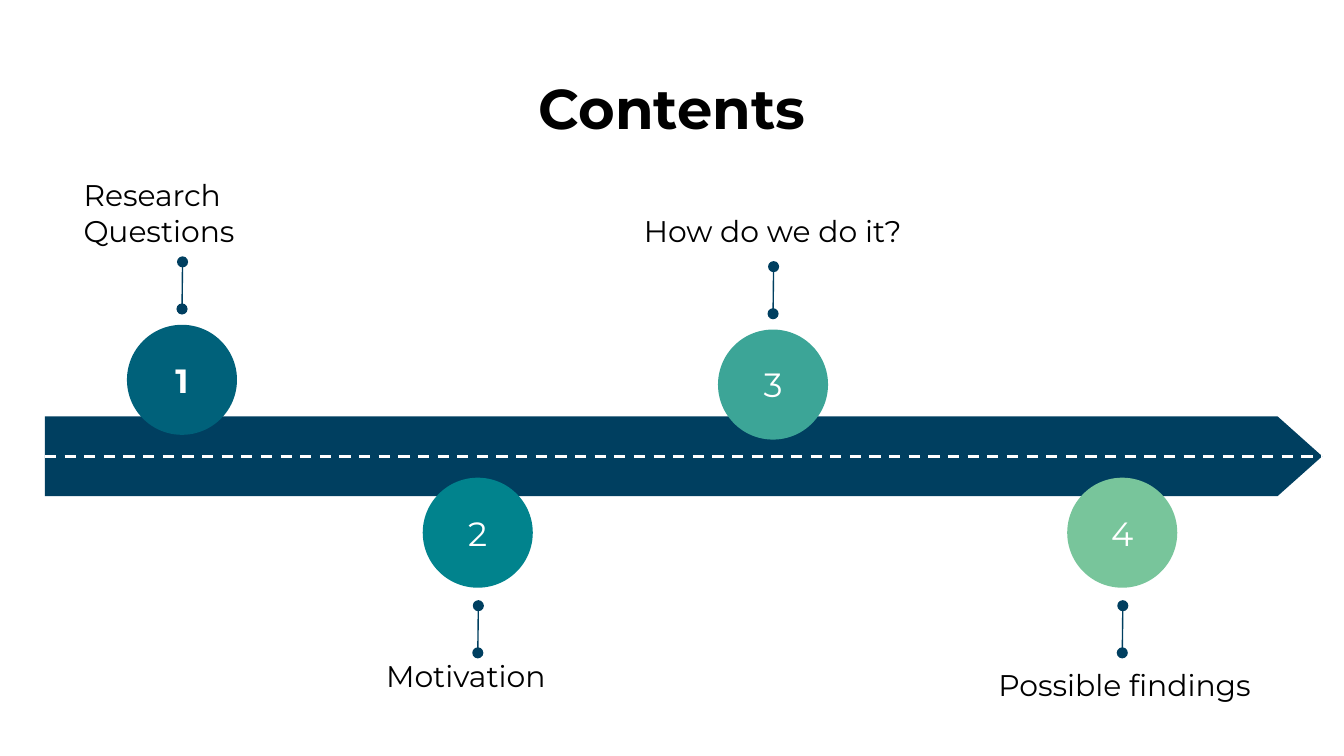
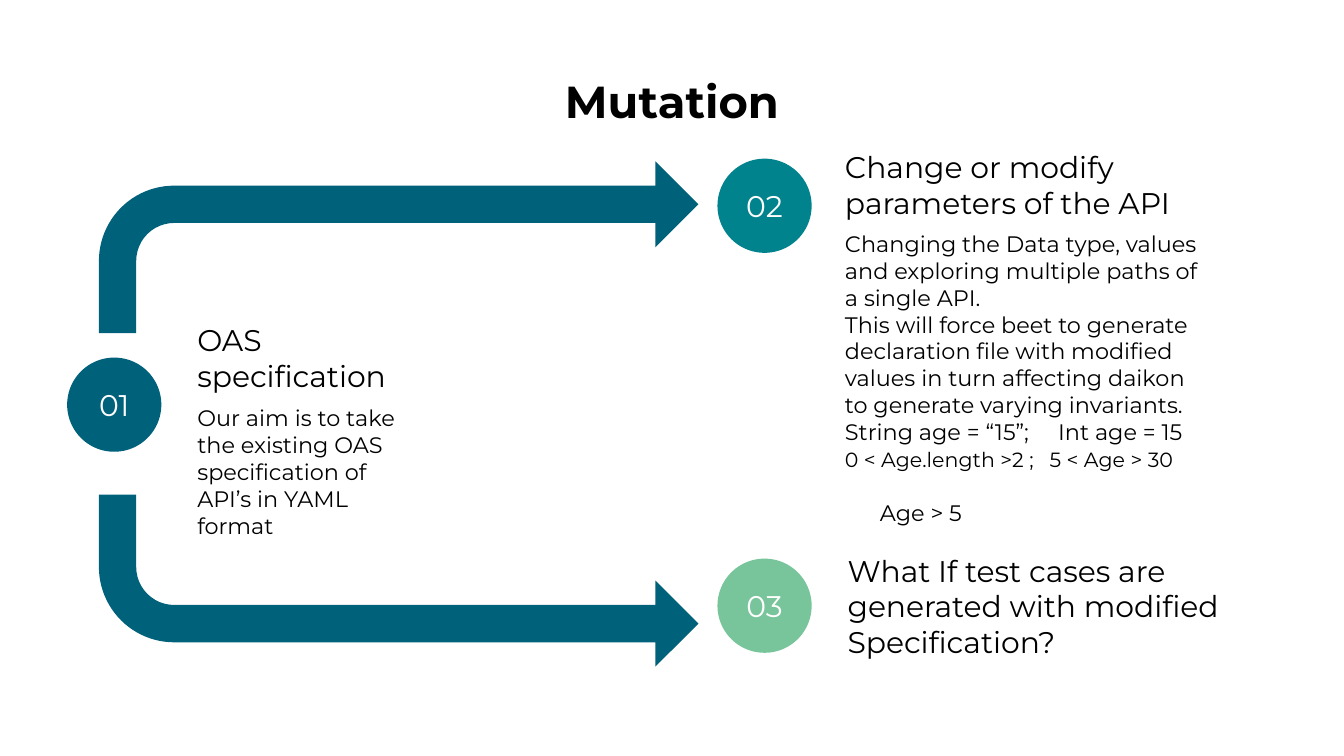
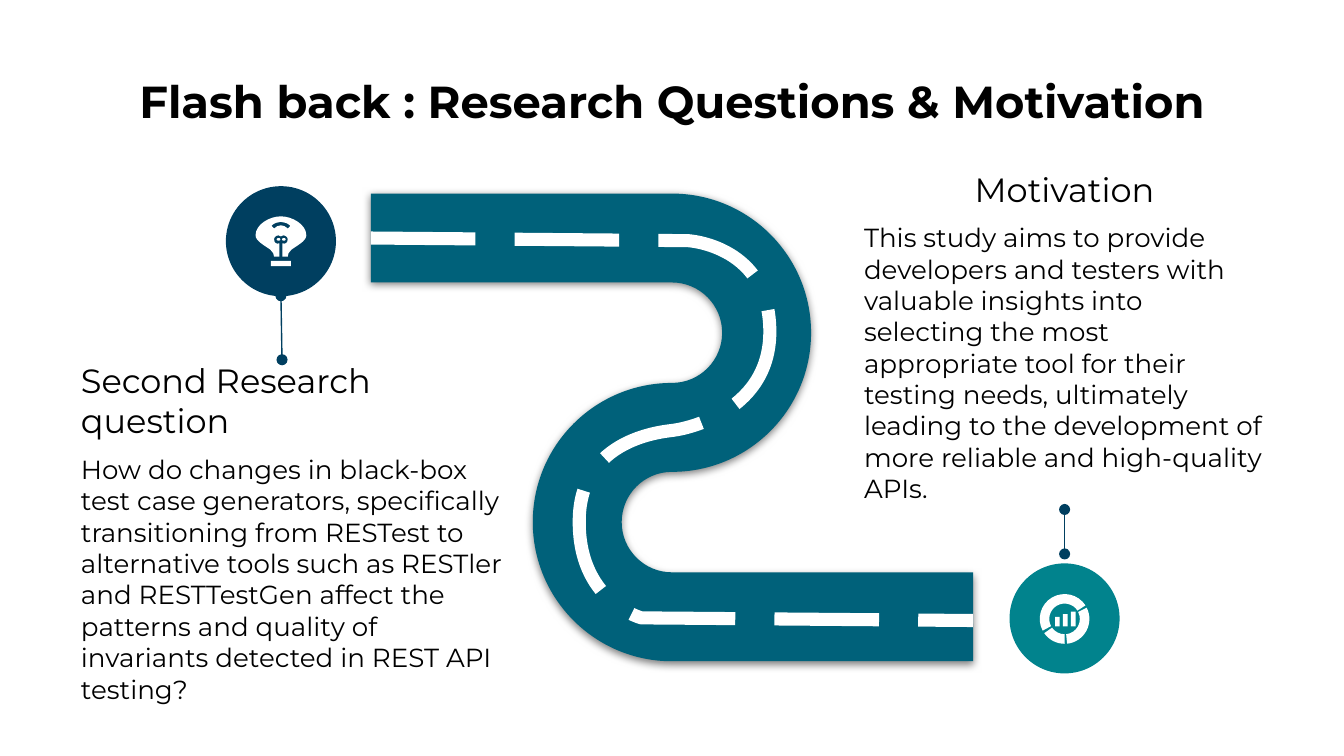
from math import ceil, cos, radians, sin, tan

from lxml.etree import SubElement
from pptx import Presentation
from pptx.dml.color import RGBColor
from pptx.enum.dml import MSO_LINE as Dash
from pptx.enum.shapes import MSO_CONNECTOR as Link, MSO_SHAPE as Kind
from pptx.enum.text import MSO_ANCHOR as Anchor, PP_ALIGN as Align
from pptx.oxml.ns import qn
from pptx.util import Cm, Pt

FONT = "Montserrat"
BLACK, WHITE = "000000", "FFFFFF"
NAVY, BLUE, TEAL = "003F60", "00617A", "01838D"
SEA, GREEN = "3CA597", "78C59B"


def paint(code):
    return RGBColor.from_string(code)


def write(frame, text, size=16, bold=False, color=BLACK, align=Align.LEFT,
          indent=0, before=0, tab=0):
    para = frame.paragraphs[0]
    if para.runs:
        para = frame.add_paragraph()
    para.alignment = align
    para.space_before = Pt(before)
    props = para._p.get_or_add_pPr()
    if indent:
        props.set("marL", str(Cm(indent)))
    if tab:
        stops = SubElement(props, qn("a:tabLst"))
        SubElement(stops, qn("a:tab"), pos=str(Cm(tab)), algn="l")
    run = para.add_run()
    run.text = text
    font = run.font
    font.name, font.size, font.bold = FONT, Pt(size), bold
    font.color.rgb = paint(color)


def lines(*points):
    return [(point,) for point in points]


def arc(x, y, r, start, end):
    count = ceil(abs(end - start) / 90)
    step = radians((end - start) / count)
    pull = 4 / 3 * tan(step / 4)

    def spot(turn, lean):
        return (x + r * (cos(turn) - lean * sin(turn)),
                y + r * (sin(turn) + lean * cos(turn)))

    turns = [radians(start) + step * i for i in range(count + 1)]
    return lines(spot(turns[0], 0)) + [
        (spot(a, pull), spot(b, -pull), spot(b, 0)) for a, b in zip(turns, turns[1:])]


def mirror(ring, mid):
    back = []
    for last, part in zip(ring[-2::-1], ring[:0:-1]):
        points = part[-2::-1] + last[-1:]
        back.append(tuple((2 * mid - x, y) for x, y in points))
    return back


class Deck:
    def __init__(self):
        self.show = Presentation()
        self.show.slide_width, self.show.slide_height = Cm(25.4), Cm(14.29)

    def page(self, title, size=24):
        self.shapes = self.show.slides.add_slide(self.show.slide_layouts[6]).shapes
        self.text(1.25, 1.14, 22.9, 1.55, title, size=size, bold=True,
                  align=Align.CENTER)

    def frame(self, shape, anchor):
        frame = shape.text_frame
        frame.word_wrap = True
        frame.vertical_anchor = anchor
        frame.margin_top = frame.margin_bottom = Cm(0.25)
        return frame

    def text(self, x, y, w, h, text, anchor=Anchor.TOP, **style):
        box = self.shapes.add_textbox(Cm(x), Cm(y), Cm(w), Cm(h))
        frame = self.frame(box, anchor)
        write(frame, text, **style)
        return frame

    def label(self, x, y, w, h, text, **style):
        return self.text(x, y, w, h, text, anchor=Anchor.BOTTOM, **style)

    def shape(self, kind, x, y, w, h, color, adjust=()):
        item = self.shapes.add_shape(kind, Cm(x), Cm(y), Cm(w), Cm(h))
        for i, value in enumerate(adjust):
            item.adjustments[i] = value
        return self.fill(item, color)

    def fill(self, item, color):
        item.shadow.inherit = False
        item.fill.solid()
        item.fill.fore_color.rgb = paint(color)
        item.line.fill.background()
        return item

    def disc(self, x, y, d, color, text="", **style):
        item = self.shape(Kind.OVAL, x, y, d, d, color)
        if text:
            write(self.frame(item, Anchor.MIDDLE), text, color=WHITE,
                  align=Align.CENTER, **style)

    def line(self, x1, y1, x2, y2, color, width):
        item = self.shapes.add_connector(Link.STRAIGHT, Cm(x1), Cm(y1), Cm(x2), Cm(y2))
        item.line.color.rgb = paint(color)
        item.line.width = Pt(width)
        SubElement(item.element.spPr, qn("a:effectLst"))
        return item

    def pin(self, x1, y1, x2, y2):
        item = self.line(x1, y1, x2, y2, NAVY, 0.75)
        ln = item.element.spPr.find(qn("a:ln"))
        for end in ("a:headEnd", "a:tailEnd"):
            SubElement(ln, qn(end), type="oval")

    def trace(self, *rings, close=True):
        pen = None
        for ring in rings:
            ends = [(Cm(part[-1][0]), Cm(part[-1][1])) for part in ring]
            if pen:
                pen.move_to(*ends[0])
            else:
                pen = self.shapes.build_freeform(*ends[0])
            pen.add_line_segments(ends[1:], close=close)
        item = pen.convert_to_shape()
        parts = [part for ring in rings for part in ring[1:]]
        for node, part in zip(list(item.element.iter(qn("a:lnTo"))), parts):
            if len(part) == 3:
                node.tag = qn("a:cubicBezTo")
                node.remove(node[0])
                for x, y in part:
                    SubElement(node, qn("a:pt"), x=str(Cm(x) - item.left),
                               y=str(Cm(y) - item.top))
        return item

    def form(self, color, *rings):
        return self.fill(self.trace(*rings), color)

    def stroke(self, ring, color, width, dash):
        item = self.trace(ring, close=False)
        item.shadow.inherit = False
        item.fill.background()
        item.line.color.rgb = paint(color)
        item.line.width = Pt(width)
        item.line.dash_style = dash

    def shade(self, item):
        effects = item.element.spPr.find(qn("a:effectLst"))
        outer = SubElement(effects, qn("a:outerShdw"), blurRad=str(Pt(4.5)),
                           dist=str(Pt(1.5)), dir="5400000", algn="bl", rotWithShape="0")
        tone = SubElement(outer, qn("a:srgbClr"), val=BLACK)
        SubElement(tone, qn("a:alpha"), val="50000")


def contents(deck):
    deck.page("Contents", size=30)
    deck.shape(Kind.RIGHT_ARROW, 0.85, 7.87, 24.14, 1.51, NAVY, (1, 0.56))
    deck.line(0.85, 8.63, 24.99, 8.63, WHITE, 1.5).line.dash_style = Dash.DASH
    for x, y, w, name, indent in (
            (6.44, 12.36, 5.18, "Motivation", 0.61),
            (18.62, 12.53, 5.97, "Possible findings", 0),
            (1.33, 3.95, 4.24, "Research Questions", 0),
            (11.6, 3.95, 5.97, "How do we do it?", 0.32)):
        deck.label(x, y, w, 0.99, name, indent=indent)
    for number, x, y, top, color in (
            ("1", 2.4, 6.14, 4.95, BLUE), ("2", 7.99, 9.03, 11.45, TEAL),
            ("3", 13.57, 6.23, 5.04, SEA), ("4", 20.17, 9.03, 11.45, GREEN)):
        deck.disc(x, y, 2.08, color, number, size=18, bold=number == "1")
        deck.pin(x + 1.05, top, x + 1.04, top + 0.89)


def mutation(deck):
    deck.page("Mutation")
    for y in (3.05, 9.35):
        bend = deck.shape(Kind.BENT_ARROW, 1.87, y, 11.33, 3.25, BLUE,
                          (0.217, 0.25, 0.25, 0.438))
    bend.rotation = 180
    bend.element.spPr.find(qn("a:xfrm")).set("flipH", "1")

    for number, x, y, color in (("01", 1.27, 6.76, BLUE), ("02", 13.56, 3, TEAL),
                                ("03", 13.56, 10.56, GREEN)):
        deck.disc(x, y, 1.78, color, number)
    for x, y, w, head in (
            (3.48, 6.61, 4.67, "OAS specification"),
            (15.72, 3.35, 7.29, "Change or modify parameters of the API"),
            (15.77, 11.65, 9.12,
             "What If test cases are generated with modified Specification?")):
        deck.label(x, y, w, 1.07, head)
    deck.text(3.48, 7.39, 4.67, 1.96, "Our aim is to take the existing OAS "
              "specification of API’s in YAML format", size=12)
    body = deck.text(15.72, 4.1, 7.29, 1.96, "Changing the Data type, values and "
                     "exploring multiple paths of a single API.", size=12)
    write(body, "This will force beet to generate declaration file with modified values "
          "in turn affecting daikon to generate varying invariants.", size=12)
    write(body, "String age = “15”;\tInt age = 15", size=12, tab=4.03)
    write(body, "0 < Age.length >2 ;\t5 < Age > 30", size=11, tab=3.87, before=1)
    write(body, "Age > 5", size=12, indent=0.66, before=14.7)


def road(deck):
    x, high, low, wide, slim = 12.7, 6.29, 9.87, 2.63, 0.95
    left, right = 7.01, 18.39
    edge = lines((left, high - slim), (left, high - wide))
    edge += arc(x, high, wide, -90, 90) + arc(x, low, slim, 270, 90)[1:]
    edge += lines((right, low + slim), (right, low + wide))
    edge += arc(x, low, wide, 90, 270) + arc(x, high, slim, 90, -90)[1:]
    deck.shade(deck.form(BLUE, edge))
    lane = lines((left, 4.5), (13, 4.55)) + [
        ((13.03, 4.55), (14.55, 4.65), (14.55, 6.27)),
        ((14.55, 7.87), (12.78, 8.13), (12.75, 8.13)),
        ((12.75, 8.15), (11, 8.18), (10.95, 9.78)),
        ((10.9, 11.38), (12.14, 11.68), (12.12, 11.68))]
    deck.stroke(lane + lines((right, 11.73)), WHITE, 7, Dash.LONG_DASH)


def bulb(deck):
    mid = 5.31
    half = lines((mid, 4.09)) + [((5.1, 4.09), (4.83, 4.24), (4.83, 4.45)),
                                 ((4.83, 4.56), (5.02, 4.65), (5.11, 4.72)),
                                 ((5.16, 4.76), (5.18, 4.81), (5.18, 4.85))]
    half += lines((5.28, 4.85), (5.28, 4.6))
    half += [((5.23, 4.62), (5.18, 4.6), (5.18, 4.52)),
             ((5.18, 4.47), (5.26, 4.42), (mid, 4.47))]
    glint = lines((5.44, 4.32)) + [((5.36, 4.24), (5.26, 4.24), (5.18, 4.32))]
    glint += lines((5.13, 4.27)) + [((5.23, 4.17), (5.38, 4.17), (5.49, 4.27))]
    deck.form(WHITE, half + mirror(half, mid), glint)
    deck.shape(Kind.RECTANGLE, 5.12, 4.93, 0.38, 0.1, WHITE)
    for x in (5.23, 5.33):
        deck.shape(Kind.OVAL, x, 4.5, 0.07, 0.05, WHITE)


def chart(deck):
    x, y = 20.12, 11.7
    for start, end in ((90, 145), (152, 327), (333, 444)):
        deck.form(WHITE, arc(x, y, 0.47, start, end) + arc(x, y, 0.29, end, start))
    for i in range(3):
        tall = 0.18 + 0.05 * i
        deck.shape(Kind.RECTANGLE, 19.94 + 0.15 * i, 11.84 - tall, 0.09, tall, WHITE)


def recap(deck):
    deck.page("Flash back : Research Questions & Motivation")
    deck.label(16.08, 3.01, 8.08, 1.19, "Motivation", size=18, align=Align.CENTER)
    deck.text(16.08, 3.94, 8.08, 3.61, "This study aims to provide developers and testers "
              "with valuable insights into selecting the most appropriate tool for their "
              "testing needs, ultimately leading to the development of more reliable and "
              "high-quality APIs.", size=14)
    road(deck)
    deck.disc(4.27, 3.52, 2.08, NAVY)
    deck.disc(19.08, 10.65, 2.08, TEAL)
    deck.label(1.28, 7.38, 8.92, 1.19, "Second Research question", size=18)
    deck.text(1.28, 8.32, 8.6, 3.61, "How do changes in black-box test case generators, "
              "specifically transitioning from RESTest to alternative tools such as RESTler "
              "and RESTTestGen affect the patterns and quality of invariants detected in "
              "REST API testing?", size=14)
    deck.pin(5.31, 5.59, 5.33, 6.8)
    deck.pin(20.12, 10.47, 20.12, 9.63)
    bulb(deck)
    chart(deck)


def main():
    deck = Deck()
    contents(deck)
    mutation(deck)
    recap(deck)
    deck.show.save("out.pptx")


if __name__ == "__main__":
    main()
